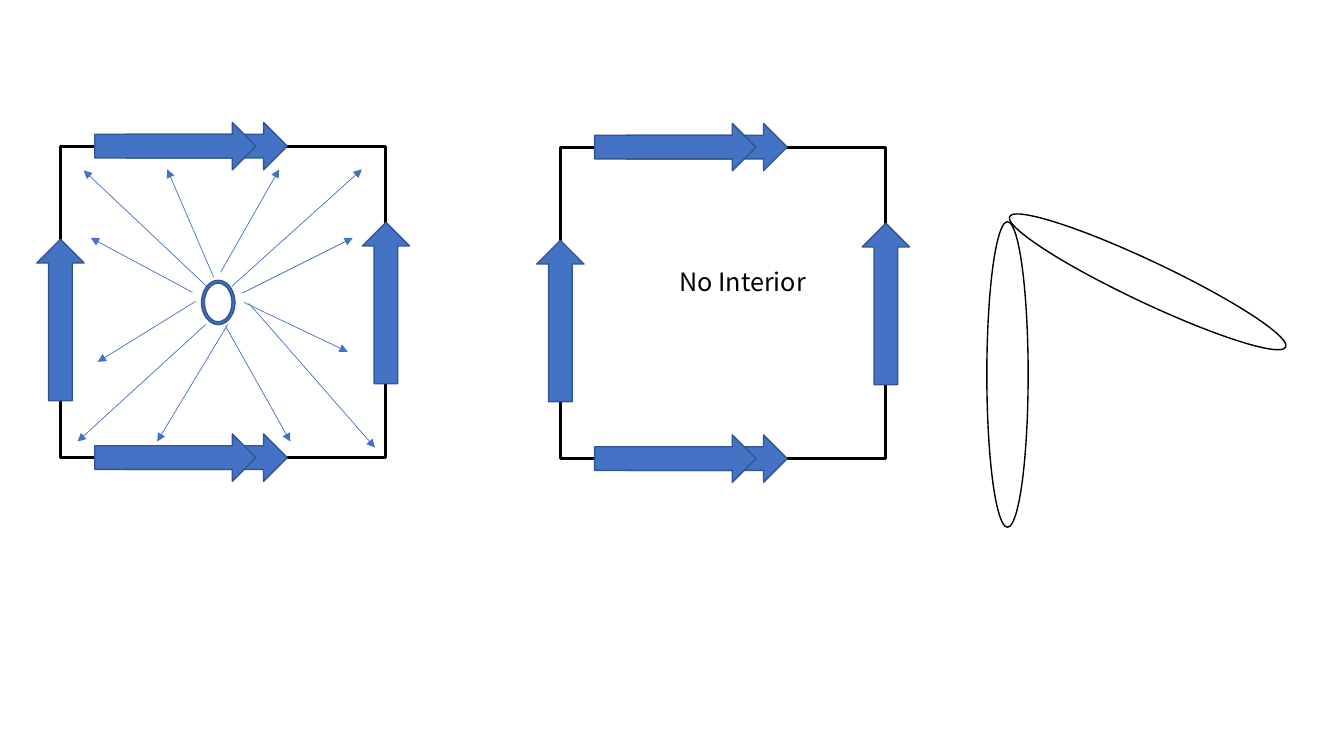
from lxml.etree import SubElement
from pptx import Presentation
from pptx.dml.color import RGBColor
from pptx.enum.shapes import MSO_CONNECTOR, MSO_SHAPE
from pptx.enum.text import MSO_AUTO_SIZE
from pptx.oxml.ns import qn
from pptx.util import Pt

COLORS = {"blue": "4472C4", "edge": "325491", "black": "000000"}
FONT = "Noto Sans CJK SC"

SQUARE_WIDTH, SQUARE_HEIGHT = 232.5, 222.5
ARROW_LENGTH, ARROW_HEIGHT = 115.2, 33.8
SQUARES = [(43.2, 104.4), (400.3, 105.1)]  # left, top
EDGE_ARROWS = [  # centre measured from the square's corner, rotation
    (104.4, 0, 0),
    (82.1, 0, 0),
    (104.4, SQUARE_HEIGHT, 0),
    (82.1, SQUARE_HEIGHT, 0),
    (0, 124.2, 270),
    (SQUARE_WIDTH, 112, 270),
]
HOLE = (144, 200.2, 23.8, 31.7)
RAYS = [  # start x, start y, end x, end y
    (147.6, 204.5, 59.8, 121.7),
    (165.6, 204.5, 258.5, 121),
    (177.8, 216.7, 267.8, 319.7),
    (146.9, 231.8, 55.4, 315.4),
    (162.7, 231.8, 112.3, 315.4),
    (161.3, 233.3, 207.4, 315.4),
    (172.8, 209.5, 252, 169.9),
    (174.2, 216, 248.4, 251.3),
    (152.6, 198, 119.5, 121),
    (157.7, 194.4, 199.4, 121),
    (139.7, 215.3, 69.8, 258.5),
    (137.5, 208.8, 64.8, 169.9),
]
LABEL = ("No Interior", (478.1, 186.5, 111.6, 28.8))
LOOPS = [  # left, top, width, height, rotation
    (704.9, 158.4, 29.5, 218.2, 0),
    (805, 92.2, 29.5, 218.2, 115.3),
]


def color(name):
    return RGBColor.from_string(COLORS[name])


def add_shape(page, kind, frame, fill=None, line="black", weight=1, rotation=0):
    shape = page.shapes.add_shape(kind, *map(Pt, frame))
    shape.shadow.inherit = False
    shape.rotation = rotation
    if fill:
        shape.fill.solid()
        shape.fill.fore_color.rgb = color(fill)
    else:
        shape.fill.background()
    shape.line.color.rgb = color(line)
    shape.line.width = Pt(weight)
    return shape


def add_ray(page, ends):
    ray = page.shapes.add_connector(MSO_CONNECTOR.STRAIGHT, *map(Pt, ends))
    ray.line.color.rgb = color("blue")
    ray.line.width = Pt(0.5)
    SubElement(ray.line._get_or_add_ln(), qn("a:tailEnd"), type="triangle")
    SubElement(ray._element.spPr, qn("a:effectLst"))


def add_text(page, text, frame, size=18, ink="black"):
    box = page.shapes.add_textbox(*map(Pt, frame))
    box.text_frame.word_wrap = True
    box.text_frame.auto_size = MSO_AUTO_SIZE.SHAPE_TO_FIT_TEXT
    span = box.text_frame.paragraphs[0].add_run()
    span.text = text
    span.font.name = FONT
    span.font.size = Pt(size)
    span.font.color.rgb = color(ink)


def add_glued_square(page, left, top):
    """Draw a square whose opposite sides carry matching arrows."""
    add_shape(page, MSO_SHAPE.RECTANGLE,
              (left, top, SQUARE_WIDTH, SQUARE_HEIGHT), weight=2.25)
    for x, y, rotation in EDGE_ARROWS:
        frame = (left + x - ARROW_LENGTH / 2, top + y - ARROW_HEIGHT / 2,
                 ARROW_LENGTH, ARROW_HEIGHT)
        add_shape(page, MSO_SHAPE.RIGHT_ARROW, frame, fill="blue", line="edge",
                  rotation=rotation)


def main():
    deck = Presentation()
    deck.slide_width, deck.slide_height = Pt(960), Pt(540)
    page = deck.slides.add_slide(deck.slide_layouts[6])

    punctured, hollow = SQUARES
    add_glued_square(page, *punctured)
    hole = add_shape(page, MSO_SHAPE.DONUT, HOLE, fill="blue", line="edge")
    hole.adjustments[0] = 0.085
    for ends in RAYS:
        add_ray(page, ends)

    add_glued_square(page, *hollow)
    add_text(page, *LABEL)

    for *frame, rotation in LOOPS:
        add_shape(page, MSO_SHAPE.OVAL, frame, rotation=rotation)

    deck.save("out.pptx")


if __name__ == "__main__":
    main()
